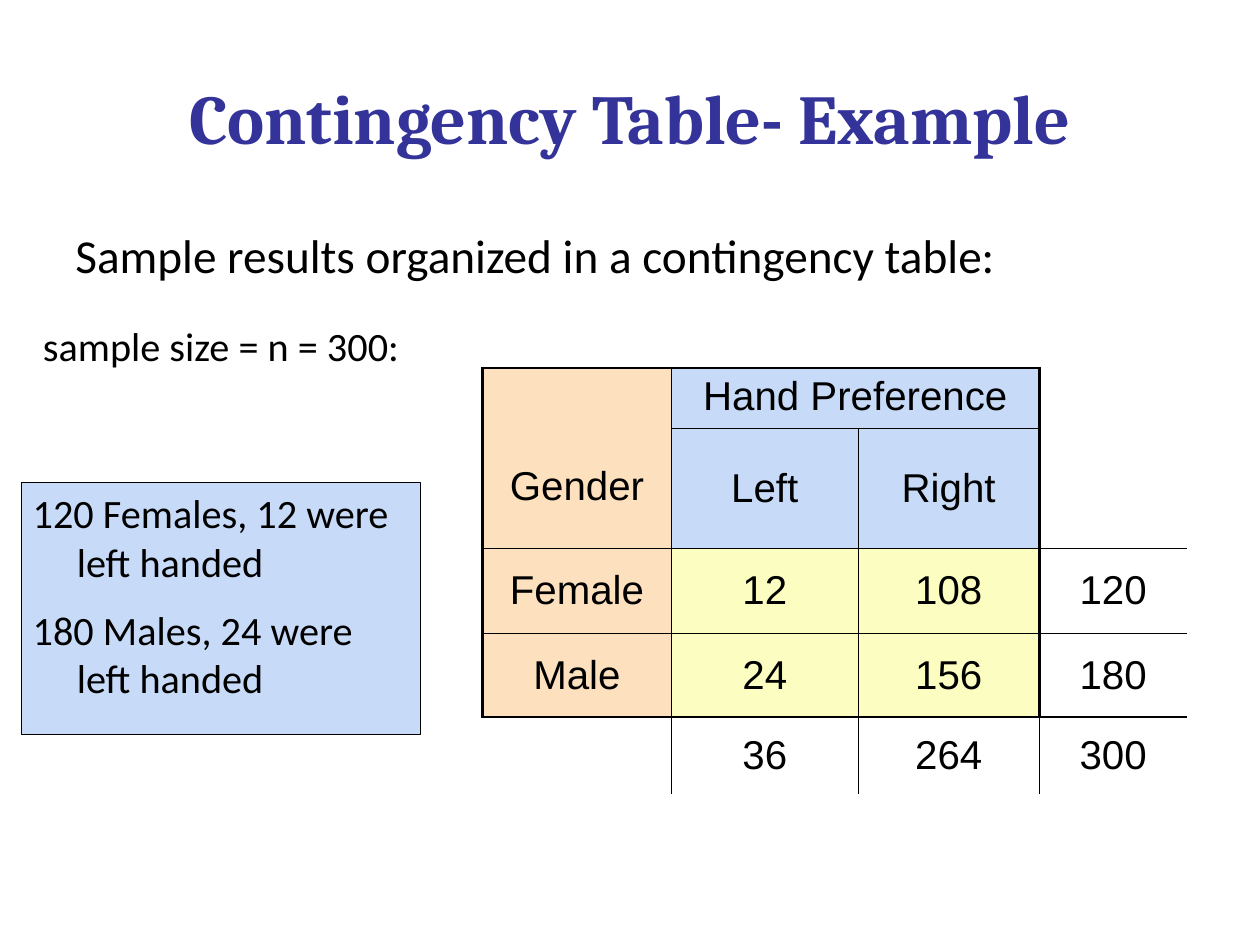
"""Build a slide with a contingency table of gender and hand preference."""
from dataclasses import dataclass

from lxml import etree
from pptx import Presentation
from pptx.dml.color import RGBColor
from pptx.enum import shapes, text
from pptx.oxml.ns import qn
from pptx.util import Inches, Pt

BLACK, NAVY = "000000", "333399"
BLUE, PEACH, CREAM = "C7DAF7", "FDE0BD", "FBFEC0"
THICK, MID, THIN = 1.47, 1.08, 0.45
CENTER = text.PP_ALIGN.CENTER
MIDDLE = text.MSO_ANCHOR.MIDDLE
TOP = text.MSO_ANCHOR.TOP


@dataclass
class Block:
    box: tuple[float, float, float, float]
    words: str
    size: float
    font: str = "Calibri"
    color: str = BLACK
    bold: bool = False
    align: text.PP_ALIGN = text.PP_ALIGN.LEFT
    anchor: text.MSO_ANCHOR = TOP
    inset: float = 0.1
    hang: float = 0
    before: float = 0
    fill: str = ""


BLOCKS = [
    Block((0.5, 0.3, 9, 1.25), "Contingency Table- Example", 40, "Cambria",
          NAVY, True, CENTER, MIDDLE),
    Block((0.5, 1.75, 9, 4.95),
          "Sample results organized in a contingency table:", 27),
    Block((0.25, 2.5, 3.58, 0.58), "sample size = n = 300:", 23,
          inset=0.09, hang=0.35, before=5.8),
    Block((0.17, 3.83, 3.17, 2),
          "120 Females, 12 were left handed\n180 Males, 24 were left handed",
          23, inset=0.09, hang=0.35, before=11.5, fill=BLUE),
]

COLS = [1.5, 1.48, 1.44, 1.17]
ROWS = [0.48, 0.95, 0.67, 0.67, 0.61]
WORDS = [
    ["Gender", "Hand Preference", "", ""],
    ["", "Left", "Right", ""],
    ["Female", "12", "108", "120"],
    ["Male", "24", "156", "180"],
    ["", "36", "264", "300"],
]
FILLS = [[PEACH, BLUE, BLUE, ""]] * 2 + [[PEACH, CREAM, CREAM, ""]] * 2 + [[""] * 4]
SPANS = [((0, 0), (1, 0)), ((0, 1), (0, 2)), ((0, 3), (1, 3))]
DOWN = [[THICK, MID, 0, THICK, 0]] + [[THICK, MID, THIN, THICK, 0]] * 3
DOWN += [[0, MID, THIN, THIN, 0]]
ACROSS = [[THICK] * 3 + [0], [0, THIN, THIN, 0], [MID] * 4, [THIN] * 4,
          [THICK] * 3 + [MID], [0] * 4]


def rgb(code: str) -> RGBColor:
    """Turn a hex string into a colour."""
    return RGBColor.from_string(code)


def style(para, size: float, font: str, color: str, bold: bool = False) -> None:
    """Format every run of a paragraph."""
    for run in para.runs:
        run.font.size, run.font.name, run.font.bold = Pt(size), font, bold
        run.font.color.rgb = rgb(color)


def write(slide, block: Block) -> None:
    """Draw one block of text, in a filled box if it has a fill."""
    box = [Inches(n) for n in block.box]
    if block.fill:
        shape = slide.shapes.add_shape(shapes.MSO_SHAPE.RECTANGLE, *box)
        shape.shadow.inherit = False
        shape.fill.solid()
        shape.fill.fore_color.rgb = rgb(block.fill)
        shape.line.color.rgb = rgb(BLACK)
        shape.line.width = Pt(0.74)
    else:
        shape = slide.shapes.add_textbox(*box)
    frame = shape.text_frame
    frame.word_wrap = True
    frame.vertical_anchor = block.anchor
    frame.margin_left = frame.margin_right = Inches(block.inset)
    frame.margin_top = frame.margin_bottom = Inches(0.05)
    frame.text = block.words
    for para in frame.paragraphs:
        para.alignment = block.align
        para.space_before = Pt(block.before)
        if block.hang:
            props = para._p.get_or_add_pPr()
            props.set("marL", str(Inches(block.hang)))
            props.set("indent", str(-Inches(block.hang)))
        style(para, block.size, block.font, block.color, block.bold)


def edge(cell, side: str, width: float) -> None:
    """Set one border of a cell; zero width means none."""
    line = etree.SubElement(cell._tc.get_or_add_tcPr(), qn("a:ln" + side))
    line.set("w", str(int(Pt(width))))
    if width:
        fill = etree.SubElement(line, qn("a:solidFill"))
        etree.SubElement(fill, qn("a:srgbClr")).set("val", BLACK)
    else:
        etree.SubElement(line, qn("a:noFill"))


def paint(cell, row: int, col: int) -> None:
    """Give a table cell its borders, fill and text."""
    edge(cell, "L", DOWN[row][col])
    edge(cell, "R", DOWN[row][col + 1])
    edge(cell, "T", ACROSS[row][col])
    edge(cell, "B", ACROSS[row + 1][col])
    if FILLS[row][col]:
        cell.fill.solid()
        cell.fill.fore_color.rgb = rgb(FILLS[row][col])
    else:
        cell.fill.background()
    words = WORDS[row][col]
    if words:
        cell.text_frame.text = words
        cell.vertical_anchor = TOP if words == "Hand Preference" else MIDDLE
        cell.margin_top = Inches(0.5 if words == "Gender" else 0.05)
        para = cell.text_frame.paragraphs[0]
        para.alignment = CENTER
        para.space_before = Pt(5.8)
        style(para, 23, "Arial", BLACK)


def tabulate(slide) -> None:
    """Draw the contingency table."""
    frame = slide.shapes.add_table(
        len(ROWS), len(COLS), Inches(3.83), Inches(2.92),
        Inches(sum(COLS)), Inches(sum(ROWS)))
    table = frame.table
    table.first_row = table.horz_banding = False
    for col, width in zip(table.columns, COLS):
        col.width = Inches(width)
    for row, height in zip(table.rows, ROWS):
        row.height = Inches(height)
    for start, end in SPANS:
        table.cell(*start).merge(table.cell(*end))
    for row in range(len(ROWS)):
        for col in range(len(COLS)):
            paint(table.cell(row, col), row, col)


def main() -> None:
    """Build and save the slide."""
    deck = Presentation()
    deck.slide_width, deck.slide_height = Inches(10), Inches(7.5)
    slide = deck.slides.add_slide(deck.slide_layouts[6])
    for block in BLOCKS:
        write(slide, block)
    tabulate(slide)
    deck.save("out.pptx")


main()
